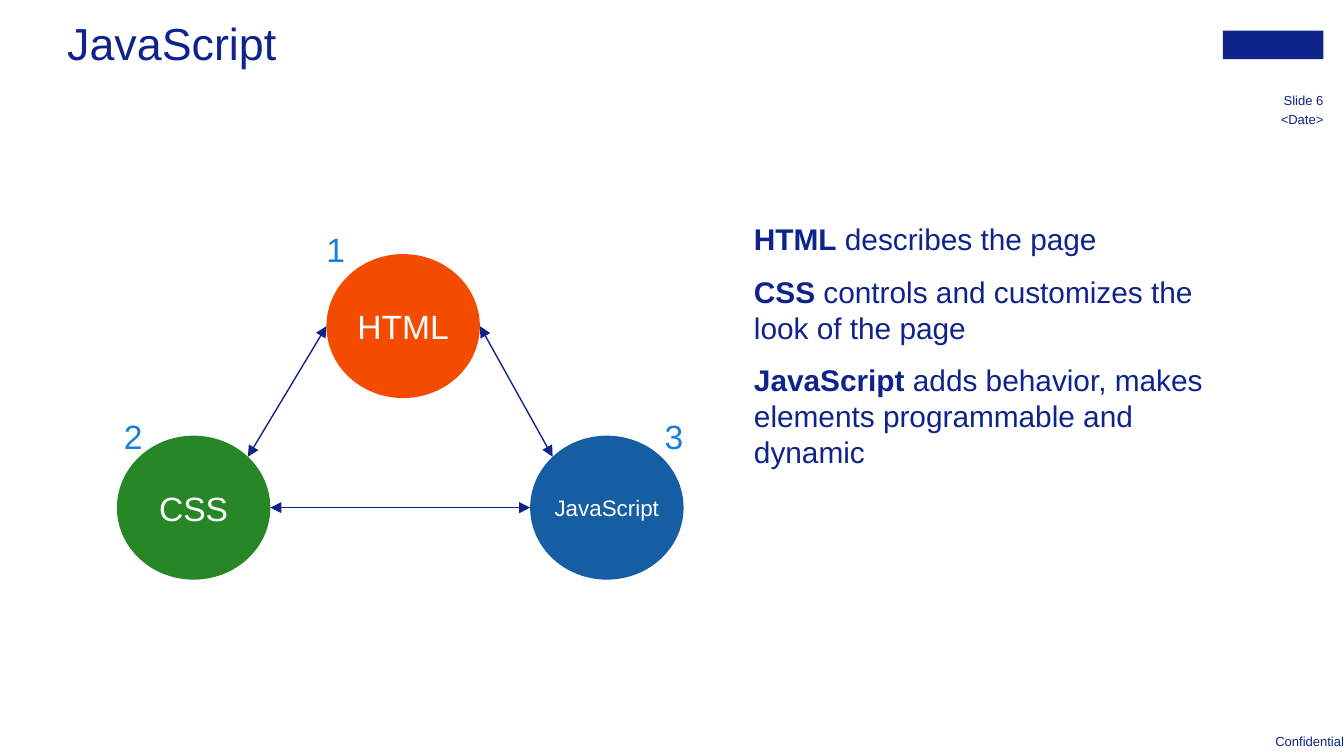
import math

import pptx
import pptx.dml.color
import pptx.enum.shapes
import pptx.enum.text
import pptx.oxml.xmlchemy
import pptx.util

Cm, Pt = pptx.util.Cm, pptx.util.Pt
ALIGN, ANCHOR = pptx.enum.text.PP_ALIGN, pptx.enum.text.MSO_ANCHOR
SHAPE = pptx.enum.shapes.MSO_SHAPE

THEME = {
    "font": "Arial",
    "navy": "0F238C",
    "number": "1C7DDB",
    "white": "FFFFFF",
    "html": "F34C00",
    "css": "278626",
    "javascript": "155EA4",
    "title": 24,
    "large": 18,
    "body": 16,
    "label": 12,
    "small": 7,
    "line": 0.75,
}


def rgb(name):
    """Return the theme colour of this name."""
    return pptx.dml.color.RGBColor.from_string(THEME[name])


def apply(obj, values):
    """Set each attribute of obj from a dict of format values."""
    for name, value in values.items():
        setattr(obj, name, value)


def write(sp, paragraphs, size, color="navy", anchor=ANCHOR.TOP, **spacing):
    """Fill a shape with paragraphs, each a list of (text, bold) runs."""
    tf = sp.text_frame
    apply(tf, {"word_wrap": True, "vertical_anchor": anchor, "margin_left": 0,
               "margin_top": 0, "margin_right": 0, "margin_bottom": 0})
    for i, runs in enumerate(paragraphs):
        p = tf.add_paragraph() if i else tf.paragraphs[0]
        apply(p, spacing)
        for text, bold in runs:
            r = p.add_run()
            r.text = text
            apply(r.font, {"name": THEME["font"], "size": Pt(THEME[size]), "bold": bold})
            r.font.color.rgb = rgb(color)


def add_text(s, box, paragraphs, size, **options):
    """Add a text box at a box given in centimetres."""
    write(s.shapes.add_textbox(*map(Cm, box)), paragraphs, size, **options)


def add_filled(s, kind, box, color):
    """Add a plain filled shape without outline or shadow."""
    sp = s.shapes.add_shape(kind, *map(Cm, box))
    sp.shadow.inherit = False
    sp.fill.solid()
    sp.fill.fore_color.rgb = rgb(color)
    sp.line.fill.background()
    return sp


def add_double_arrow(s, start, end):
    """Add a straight line with an arrowhead at both ends."""
    cx = s.shapes.add_connector(pptx.enum.shapes.MSO_CONNECTOR.STRAIGHT,
                                *map(Cm, start + end))
    cx.line.width = Pt(THEME["line"])
    cx.line.color.rgb = rgb("navy")
    ln = cx.line._get_or_add_ln()
    for tag in ("a:headEnd", "a:tailEnd"):
        ln.append(pptx.oxml.xmlchemy.OxmlElement(tag))
        ln[-1].set("type", "triangle")
    cx._element.spPr.append(pptx.oxml.xmlchemy.OxmlElement("a:effectLst"))


def add_header(s, box):
    """Place the title, the logo block and the slide details in a box."""
    left, top, width, height = box
    right = left + width
    add_text(s, (left, top, 21.13, 0.91), [[("JavaScript", False)]], "title")
    add_filled(s, SHAPE.RECTANGLE, (right - 1.9, top + 0.28, 1.9, 0.54), "navy")
    for text, bottom, spacing in (("Slide 6", 0.38, 8), ("<Date>", 0, 7)):
        add_text(s, (right - 2.08, top + height - bottom - 0.25, 2.08, 0.25),
                 [[(text, False)]], "small", anchor=ANCHOR.MIDDLE,
                 alignment=ALIGN.RIGHT, line_spacing=Pt(spacing))


def add_diagram(s, box):
    """Place three numbered ellipses joined by double arrows in a box."""
    left, top, width, height = box
    w, h = 2.9, 2.72
    low = top + height - h
    nodes = {
        "html": ("HTML", "large", left + 3.96, top, "1", 0, -0.48),
        "javascript": ("JavaScript", "label", left + width - w, low, "3", 2.54, -0.38),
        "css": ("CSS", "large", left, low, "2", 0.13, -0.38),
    }

    def rim(name, degrees):
        """Return the point on the rim of a node at an angle."""
        x, y = nodes[name][2:4]
        a = math.radians(degrees)
        return x + w / 2 * (1 + math.cos(a)), y + h / 2 * (1 - math.sin(a))

    for color, (text, size, x, y, number, dx, dy) in nodes.items():
        sp = add_filled(s, SHAPE.OVAL, (x, y, w, h), color)
        write(sp, [[(text, False)]], size, "white", ANCHOR.MIDDLE, alignment=ALIGN.CENTER)
        add_text(s, (x + dx, y + dy, 0.71, 0.76), [[(number, False)]], "large",
                 color="number", space_after=Pt(9))
    for start, end in ((("css", 45), ("html", 180)),
                       (("html", 0), ("javascript", 135)),
                       (("css", 0), ("javascript", 180))):
        add_double_arrow(s, rim(*start), rim(*end))


def add_description(s, box):
    """Place the explanation of the three languages in a box."""
    items = (("HTML", " describes the page"),
             ("CSS", " controls and customizes the look of the page"),
             ("JavaScript", " adds behavior, makes elements programmable and dynamic"))
    add_text(s, box, [[(term, True), (text, False)] for term, text in items],
             "body", space_after=Pt(9))


def add_footer(s, box):
    """Place the confidentiality label in a box."""
    add_text(s, box, [[("Confidential", False)]], "small",
             anchor=ANCHOR.MIDDLE, alignment=ALIGN.RIGHT)


def main():
    """Build the slide and save it."""
    prs = pptx.Presentation()
    apply(prs, {"slide_width": Cm(25.4), "slide_height": Cm(14.28)})
    s = prs.slides.add_slide(prs.slide_layouts[6])
    add_header(s, (1.27, 0.3, 23.74, 2.11))
    add_diagram(s, (2.21, 4.8, 10.71, 6.15))
    add_description(s, (14.25, 4.17, 9.09, 4.75))
    add_footer(s, (23.47, 13.72, 1.93, 0.56))
    prs.save("out.pptx")


if __name__ == "__main__":
    main()
